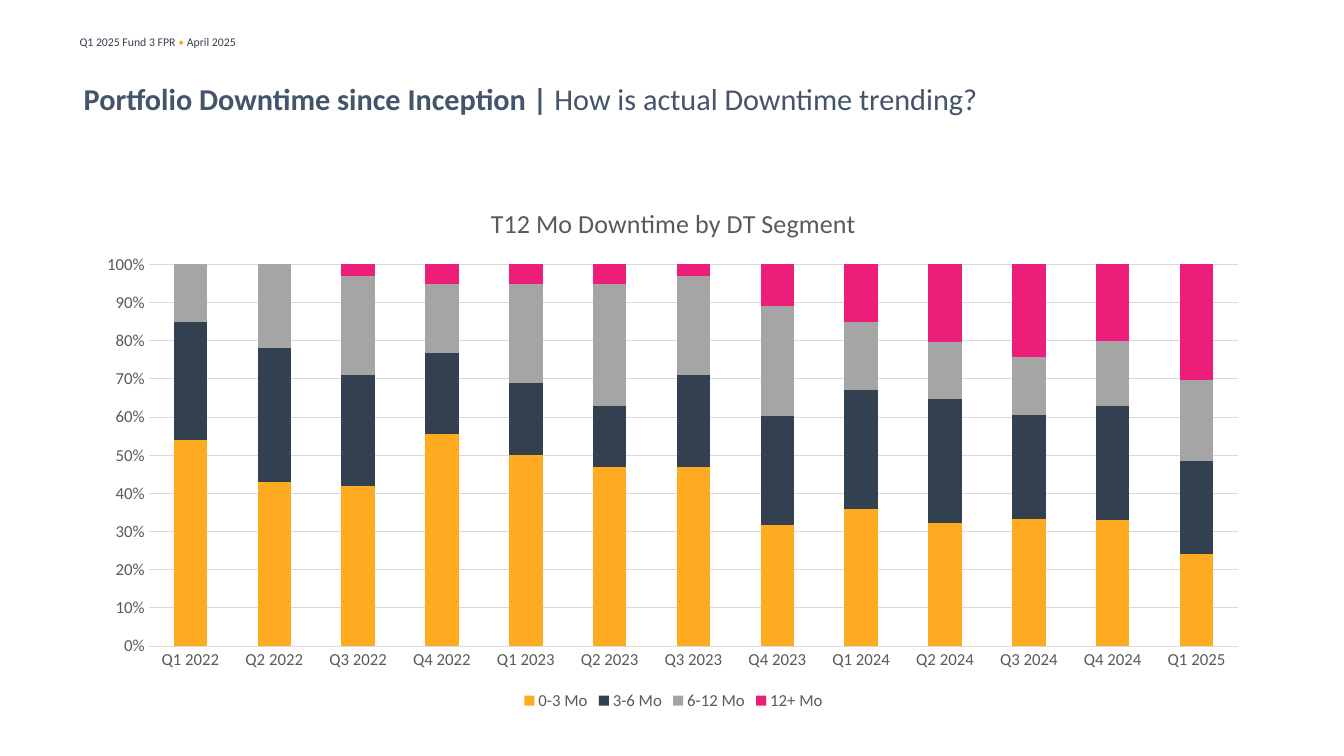
import pptx
import pptx.chart.data
import pptx.dml.color
import pptx.enum.chart
import pptx.enum.text
import pptx.oxml
import pptx.oxml.ns
import pptx.util

# Content
COLORS = {"navy": "33404F", "slate": "44546A", "amber": "FFAB21", "silver": "A5A5A5",
          "pink": "ED1E79", "label": "595959", "grid": "D9D9D9"}
FONT = "Calibri"
HEADER = [("Q1 2025 Fund 3 FPR ", "navy", False), ("• ", "amber", False),
          ("April 2025", "navy", False)]
TITLE = [("Portfolio Downtime since Inception | ", "slate", True),
         ("How is actual Downtime trending?", "slate", False)]
CHART_TITLE = "T12 Mo Downtime by DT Segment"
QUARTERS = [f"Q{n % 4 + 1} {2022 + n // 4}" for n in range(13)]
SEGMENTS = [
    ("0-3 Mo", "amber", (54, 43, 42, 55, 50, 47, 47, 32, 36, 32, 33, 33, 24)),
    ("3-6 Mo", "navy", (31, 35, 29, 21, 19, 16, 24, 29, 31, 32, 27, 30, 24)),
    ("6-12 Mo", "silver", (15, 22, 26, 18, 26, 32, 26, 29, 18, 15, 15, 17, 21)),
    ("12+ Mo", "pink", (0, 0, 3, 5, 5, 5, 3, 11, 15, 20, 24, 20, 30)),
]

# Layout: slide size in inches, then left, top, width, height
WIDTH, HEIGHT = 13.33, 7.5
MARGIN = 0.83
HEADER_BOX = (0.69, 0.29, 4.51, 0.24)
TITLE_BOX = (MARGIN, 0.08 * HEIGHT, 11.02, 0.1 * HEIGHT)
CHART_BOX = (MARGIN, 1.83, WIDTH - 2 * MARGIN + 0.03, 5.26)
PLOT_SHARES = {"x": 0.055, "y": 0.151, "w": 0.924, "h": 0.72}


def color(name):
    return pptx.dml.color.RGBColor.from_string(COLORS[name])


def inches(box):
    return [pptx.util.Inches(length) for length in box]


def style_font(font, size, color_name, bold=False):
    font.name = FONT
    font.size = pptx.util.Pt(size)
    font.bold = bold
    font.color.rgb = color(color_name)


def style_line(line, color_name):
    line.color.rgb = color(color_name)
    line.width = pptx.util.Pt(0.75)


def add_text(slide, box, runs, size, inset):
    frame = slide.shapes.add_textbox(*inches(box)).text_frame
    frame.word_wrap = True
    frame.vertical_anchor = pptx.enum.text.MSO_ANCHOR.MIDDLE
    frame.margin_left = frame.margin_right = pptx.util.Inches(inset)
    frame.margin_top = frame.margin_bottom = pptx.util.Inches(inset / 2)
    for text, color_name, bold in runs:
        run = frame.paragraphs[0].add_run()
        run.text = text
        style_font(run.font, size, color_name, bold)


def place_plot(chart):
    """Fix the inner plot area as shares of the chart."""
    plot_area = chart.element.xpath("c:chart/c:plotArea")[0] if hasattr(chart, "element") \
        else chart._chartSpace.xpath("c:chart/c:plotArea")[0]
    for layout in plot_area.xpath("c:layout"):
        plot_area.remove(layout)
    modes = "".join(f'<c:{axis}Mode val="edge"/>' for axis in "xy")
    shares = "".join(f'<c:{key} val="{share}"/>' for key, share in PLOT_SHARES.items())
    plot_area.insert(0, pptx.oxml.parse_xml(
        f'<c:layout {pptx.oxml.ns.nsdecls("c")}><c:manualLayout>'
        f'<c:layoutTarget val="inner"/>{modes}{shares}</c:manualLayout></c:layout>'))


def add_downtime_chart(slide):
    data = pptx.chart.data.CategoryChartData(number_format="0")
    data.categories = QUARTERS
    for name, _, values in SEGMENTS:
        data.add_series(name, values)
    chart = slide.shapes.add_chart(
        pptx.enum.chart.XL_CHART_TYPE.COLUMN_STACKED_100, *inches(CHART_BOX), data).chart
    style_font(chart.font, 12, "label")

    # Title and legend
    chart.has_title = True
    run = chart.chart_title.text_frame.paragraphs[0].add_run()
    run.text = CHART_TITLE
    style_font(run.font, 18.6, "label")
    chart.has_legend = True
    chart.legend.position = pptx.enum.chart.XL_LEGEND_POSITION.BOTTOM
    chart.legend.include_in_layout = False
    style_font(chart.legend.font, 12, "label")

    # Columns
    plot = chart.plots[0]
    plot.gap_width, plot.overlap, plot.vary_by_categories = 150, 100, False
    for series, (_, color_name, _) in zip(plot.series, SEGMENTS):
        series.format.fill.solid()
        series.format.fill.fore_color.rgb = color(color_name)

    # Axes
    for axis in (chart.category_axis, chart.value_axis):
        axis.major_tick_mark = axis.minor_tick_mark = pptx.enum.chart.XL_TICK_MARK.NONE
        style_font(axis.tick_labels.font, 12, "label")
    style_line(chart.category_axis.format.line, "grid")
    value_axis = chart.value_axis
    value_axis.minimum_scale, value_axis.maximum_scale, value_axis.major_unit = 0, 1, 0.1
    value_axis.format.line.fill.background()
    value_axis.has_major_gridlines = True
    style_line(value_axis.major_gridlines.format.line, "grid")
    value_axis.tick_labels.number_format = "0%"
    value_axis.tick_labels.number_format_is_linked = False
    place_plot(chart)


def main():
    presentation = pptx.Presentation()
    presentation.slide_width, presentation.slide_height = inches((WIDTH, HEIGHT))
    slide = presentation.slides.add_slide(presentation.slide_layouts[6])
    add_text(slide, HEADER_BOX, HEADER, 8.4, 0.1)
    add_text(slide, TITLE_BOX, TITLE, 21.6, 0)
    add_downtime_chart(slide)
    presentation.save("out.pptx")


if __name__ == "__main__":
    main()
